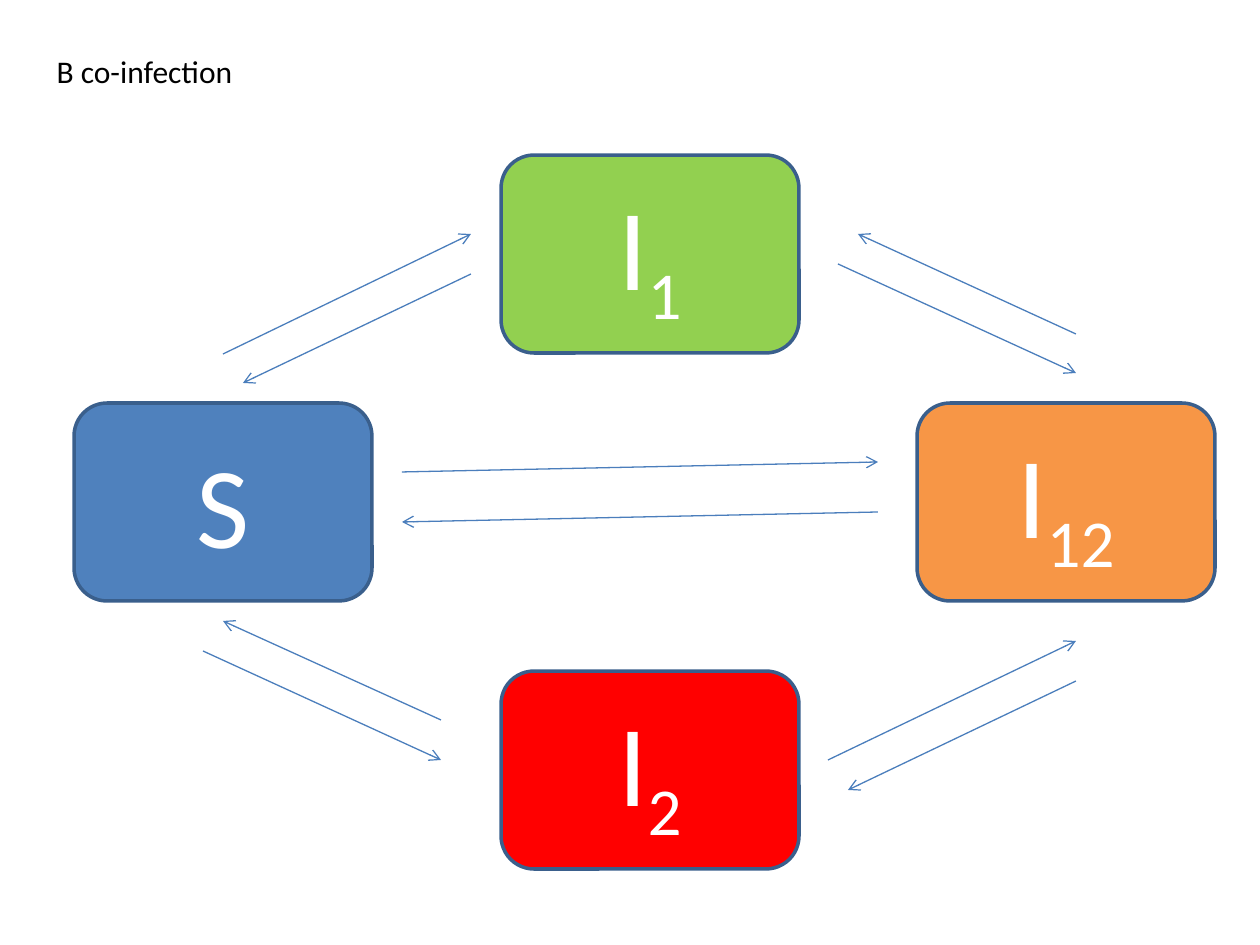
from dataclasses import dataclass

import pptx
import pptx.dml.color
import pptx.enum.shapes
import pptx.enum.text
import pptx.oxml.ns
import pptx.shapes.autoshape
import pptx.slide
import pptx.util
from lxml import etree

PX = 914400 / 126
BOX_W, BOX_H = 298, 198
RGB = pptx.dml.color.RGBColor.from_string


@dataclass(frozen=True)
class Theme:
    font: str = "Calibri"
    black: str = "000000"
    white: str = "FFFFFF"
    blue: str = "4F81BD"
    green: str = "92D050"
    red: str = "FF0000"
    orange: str = "F79646"
    edge: str = "3A5F8C"
    arrow: str = "4B7EBC"
    title: int = 18
    label: int = 66
    edge_pt: float = 2
    arrow_pt: float = 0.75


THEME = Theme()


@dataclass(frozen=True)
class State:
    x: int
    y: int
    fill: str
    name: str
    sub: str = ""


@dataclass(frozen=True)
class Arrow:
    """A flow whose head is at its second point."""
    x1: int
    y1: int
    x2: int
    y2: int


STATES = [
    State(74, 403, THEME.blue, "S"),
    State(501, 155, THEME.green, "I", "1"),
    State(501, 671, THEME.red, "I", "2"),
    State(917, 403, THEME.orange, "I", "12"),
]

ARROWS = [
    # S and I1
    Arrow(471, 274, 243, 383),
    Arrow(223, 354, 471, 234),
    # S and I2
    Arrow(441, 720, 223, 621),
    Arrow(203, 651, 441, 760),
    # S and I12
    Arrow(402, 472, 878, 462),
    Arrow(878, 512, 402, 522),
    # I1 and I12
    Arrow(1076, 334, 858, 234),
    Arrow(838, 264, 1076, 373),
    # I2 and I12
    Arrow(1076, 681, 848, 790),
    Arrow(828, 760, 1076, 641),
]


def emu(*px: int) -> list[int]:
    return [round(n * PX) for n in px]


def style(font, size: int, color: str) -> None:
    font.name = THEME.font
    font.size = pptx.util.Pt(size)
    font.color.rgb = RGB(color)


def add_title(slide: pptx.slide.Slide, text: str) -> None:
    title = slide.shapes.title
    title.left, title.top, title.width, title.height = emu(44, 46, 203, 50)
    frame = title.text_frame
    frame.text = text
    frame.word_wrap = False
    frame.auto_size = pptx.enum.text.MSO_AUTO_SIZE.SHAPE_TO_FIT_TEXT
    frame.vertical_anchor = pptx.enum.text.MSO_ANCHOR.TOP
    line = frame.paragraphs[0]
    line.alignment = pptx.enum.text.PP_ALIGN.LEFT
    style(line.font, THEME.title, THEME.black)


def add_state(slide: pptx.slide.Slide, state: State) -> None:
    box = slide.shapes.add_shape(
        pptx.enum.shapes.MSO_SHAPE.ROUNDED_RECTANGLE,
        *emu(state.x, state.y, BOX_W, BOX_H))
    box.shadow.inherit = False
    box.fill.solid()
    box.fill.fore_color.rgb = RGB(state.fill)
    box.line.color.rgb = RGB(THEME.edge)
    box.line.width = pptx.util.Pt(THEME.edge_pt)
    box.text_frame.vertical_anchor = pptx.enum.text.MSO_ANCHOR.MIDDLE
    line = box.text_frame.paragraphs[0]
    line.alignment = pptx.enum.text.PP_ALIGN.CENTER
    style(line.font, THEME.label, THEME.white)
    line.add_run().text = state.name
    if state.sub:
        run = line.add_run()
        run.text = state.sub
        run.font._element.set("baseline", "-25000")


def add_arrow(slide: pptx.slide.Slide, arrow: Arrow) -> None:
    link = slide.shapes.add_connector(
        pptx.enum.shapes.MSO_CONNECTOR.STRAIGHT,
        *emu(arrow.x1, arrow.y1, arrow.x2, arrow.y2))
    link.line.color.rgb = RGB(THEME.arrow)
    link.line.width = pptx.util.Pt(THEME.arrow_pt)
    qn = pptx.oxml.ns.qn
    props = link._element.spPr
    etree.SubElement(props.find(qn("a:ln")), qn("a:tailEnd"), type="arrow")
    etree.SubElement(props, qn("a:effectLst"))


def main() -> None:
    deck = pptx.Presentation()
    deck.slide_width, deck.slide_height = emu(1260, 945)
    slide = deck.slides.add_slide(deck.slide_layouts.get_by_name("Title Only"))
    add_title(slide, "B co-infection")
    for state in STATES:
        add_state(slide, state)
    for arrow in ARROWS:
        add_arrow(slide, arrow)
    deck.save("out.pptx")


if __name__ == "__main__":
    main()
